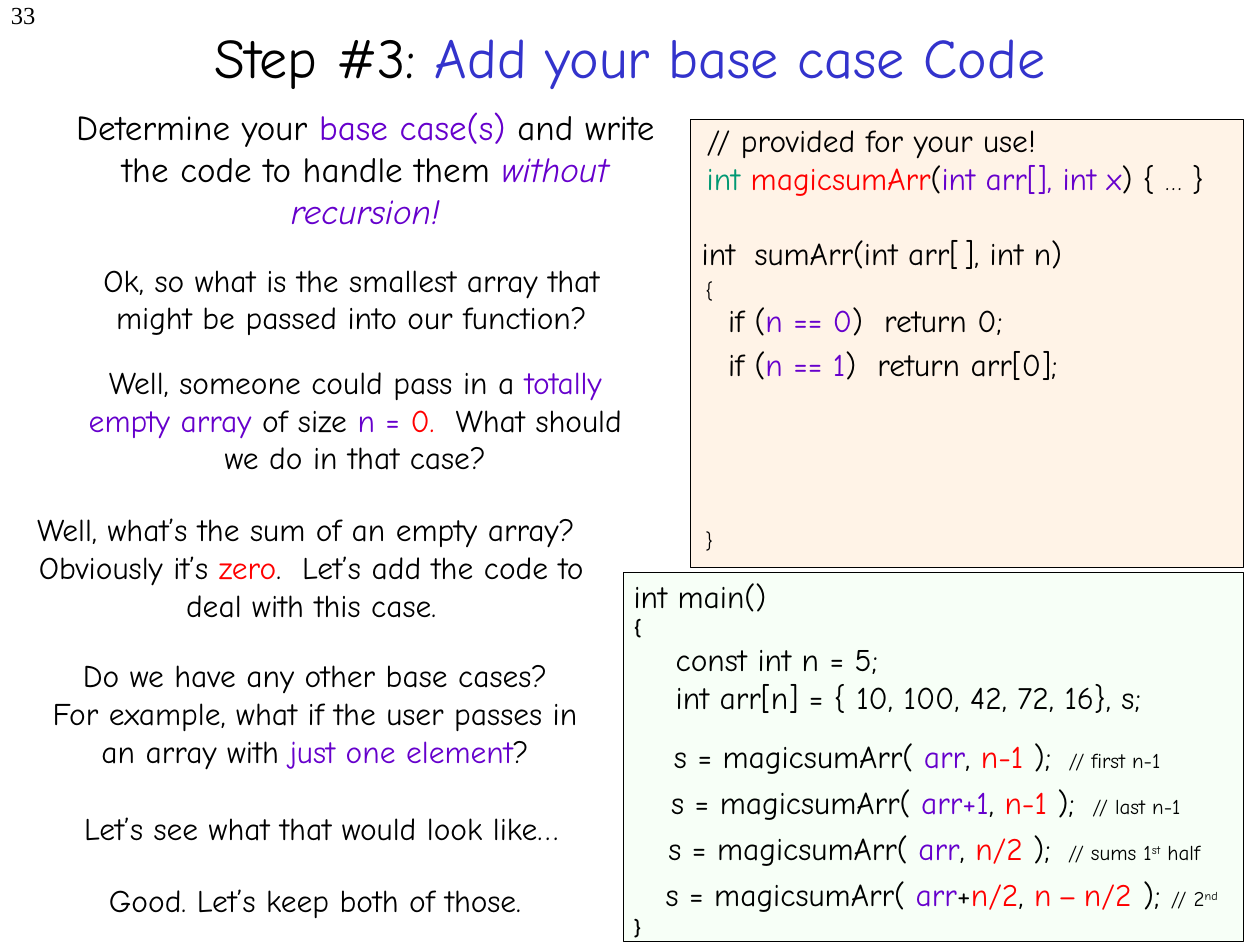
import pptx
import pptx.util
import pptx.dml.color
import pptx.enum.shapes
import pptx.enum.text

COLORS = {
    "ink": "000000", "title": "3333CC", "purple": "6600CC", "red": "FF0000",
    "green": "009973", "peach": "FFF3E7", "mint": "F7FFF7",
}
COLUMNS, ROWS = 100, 75
ALIGN = pptx.enum.text.PP_ALIGN


def color(name):
    return pptx.dml.color.RGBColor.from_string(COLORS[name])


def part(text, tint="ink", **style):
    return text, tint, style


class SlideBuilder:
    def __init__(self, presentation, font="Comic Neue", size=18):
        self.font, self.size = font, size
        self.column = presentation.slide_width / COLUMNS
        self.row = presentation.slide_height / ROWS
        self.slide = presentation.slides.add_slide(presentation.slide_layouts[5])

    def area(self, left, top, width, height):
        return (round(left * self.column), round(top * self.row),
                round(width * self.column), round(height * self.row))

    def fill_paragraph(self, paragraph, parts, align, size, font):
        paragraph.alignment = align
        for item in parts:
            text, tint, style = part(item) if isinstance(item, str) else item
            run = paragraph.add_run()
            run.text = text
            run.font.name = font or self.font
            run.font.size = pptx.util.Pt(style.get("size", size or self.size))
            run.font.bold = style.get("bold", False)
            run.font.italic = style.get("italic", False)
            run.font.color.rgb = color(tint)
            if style.get("raised"):
                run.font._element.set("baseline", "30000")

    def title(self, box, parts, size):
        shape = self.slide.shapes.title
        shape.left, shape.top, shape.width, shape.height = self.area(*box)
        shape.text_frame.vertical_anchor = pptx.enum.text.MSO_ANCHOR.MIDDLE
        self.fill_paragraph(shape.text_frame.paragraphs[0], parts, ALIGN.CENTER, size, None)

    def panel(self, box, fill):
        shape = self.slide.shapes.add_shape(
            pptx.enum.shapes.MSO_SHAPE.RECTANGLE, *self.area(*box))
        shape.shadow.inherit = False
        shape.fill.solid()
        shape.fill.fore_color.rgb = color(fill)
        shape.line.color.rgb = color("ink")
        shape.line.width = pptx.util.Pt(0.25)

    def text(self, box, *paragraphs, align=ALIGN.LEFT, size=None, font=None):
        text_frame = self.slide.shapes.add_textbox(*self.area(*box)).text_frame
        text_frame.word_wrap = True
        for index, parts in enumerate(paragraphs):
            paragraph = text_frame.add_paragraph() if index else text_frame.paragraphs[0]
            self.fill_paragraph(paragraph, parts, align, size, font)
        return text_frame

    def page_number(self, box, number):
        text_frame = self.text(box, [number], align=ALIGN.RIGHT, size=14,
                               font="Times New Roman")
        text_frame.margin_left = text_frame.margin_top = 0


def add_explanation(builder):
    builder.text(
        (3.3, 7.9, 51.4, 11.1),
        ["Determine your ", part("base case(s)", "purple"),
         " and write the code to handle them ",
         part("without recursion!", "purple", italic=True)],
        align=ALIGN.CENTER, size=20)
    remarks = [
        ((4.1, 20.2, 47.6, 7),
         [["Ok, so what is the smallest array that might be passed into our function?"]]),
        ((4.4, 28.3, 47.6, 10),
         [["Well, someone could pass in a ", part("totally empty array", "purple"),
           " of size ", part("n = ", "purple"), part("0.  ", "red"),
           "What should we do in that case?"]]),
        ((1.3, 40, 46.8, 10.1),
         [["Well, what’s the sum of an empty array?  Obviously it’s ",
           part("zero", "red"), ".  Let’s add the code to deal with this case."]]),
        ((1.9, 51.6, 46.2, 10),
         [["Do we have any other base cases?"],
          ["For example, what if the user passes in an array with ",
           part("just one element", "purple"), "?"]]),
        ((2.9, 63.7, 45.2, 4), [["Let’s see what that would look like…"]]),
        ((2.4, 69.4, 45.2, 4), [["Good. Let’s keep both of those."]]),
    ]
    for box, paragraphs in remarks:
        builder.text(box, *paragraphs, align=ALIGN.CENTER)


def add_function_code(builder):
    builder.panel((54.8, 9.5, 43.9, 35.5), "peach")
    builder.text(
        (55.1, 9.1, 44.9, 7.1),
        ["// provided for your use!"],
        [part("int ", "green"), part("magicsumArr", "red"), "(",
         part("int arr[], int x", "purple"), ") { ", part("…", size=14), " }"])
    builder.text((54.7, 18.1, 24.9, 4), ["int"])
    builder.text((58.9, 18.1, 40, 4),
                 ["sumArr(int arr[", part(" ", size=8), "], int n)"])
    for brace, top in (("{", 21.5), ("}", 41.4)):
        builder.text((55, top, 5, 3), [brace], size=12)
    base_cases = [("n == 0", "0"), ("n == 1", "arr[0]")]
    for index, (condition, result) in enumerate(base_cases):
        builder.text((56.8, 23.4 + 3.5 * index, 42.5, 4),
                     ["if (", part(condition, "purple"), f")  return {result};"])


def add_main_code(builder):
    builder.panel((49.5, 45.4, 49.2, 29.3), "mint")
    builder.text(
        (49.3, 45.3, 50.7, 12),
        ["int main()"],
        [part("{", size=12, bold=True)],
        ["    const int n = 5;"],
        ["    int arr[n] = { 10, 100, 42, 72, 16}, s;"])
    builder.text((49.3, 72.1, 5, 2.9), [part("}", bold=True)], size=12)
    calls = [
        [part("arr", "purple"), ", ", part("n-1", "red"), " ); ",
         part(" // first n-1", size=12)],
        [part("arr+1", "purple"), ", ", part("n-1", "red"), " ); ",
         part(" // last n-1", size=12)],
        [part("arr", "purple"), ", ", part("n/2 ", "red"), "); ",
         part(" // sums 1", size=12), part("st", size=12, raised=True),
         part(" half", size=12)],
        [part("arr", "purple"), "+", part("n/2", "red"), ", ", part("n", "red"),
         part(" ", size=11), part("–", "red"), part(" ", size=12),
         part("n/2", "red"), part("  ", size=10), "); ",
         part("// 2", size=12), part("nd", size=12, raised=True)],
    ]
    for index, arguments in enumerate(calls):
        left = 52.5 - 0.22 * index
        builder.text((left, 58 + 3.65 * index, COLUMNS - left, 4),
                     ["s = magicsumArr( ", *arguments])


def main():
    presentation = pptx.Presentation()
    presentation.slide_width = pptx.util.Inches(10)
    presentation.slide_height = pptx.util.Inches(7.5)
    builder = SlideBuilder(presentation)
    builder.title((7.5, 0.5, 85, 7.9),
                  ["Step #3: ", part("Add your base case Code", "title")], 32)
    builder.page_number((0, 0, 3.8, 3), "33")
    add_explanation(builder)
    add_function_code(builder)
    add_main_code(builder)
    presentation.save("out.pptx")


if __name__ == "__main__":
    main()
